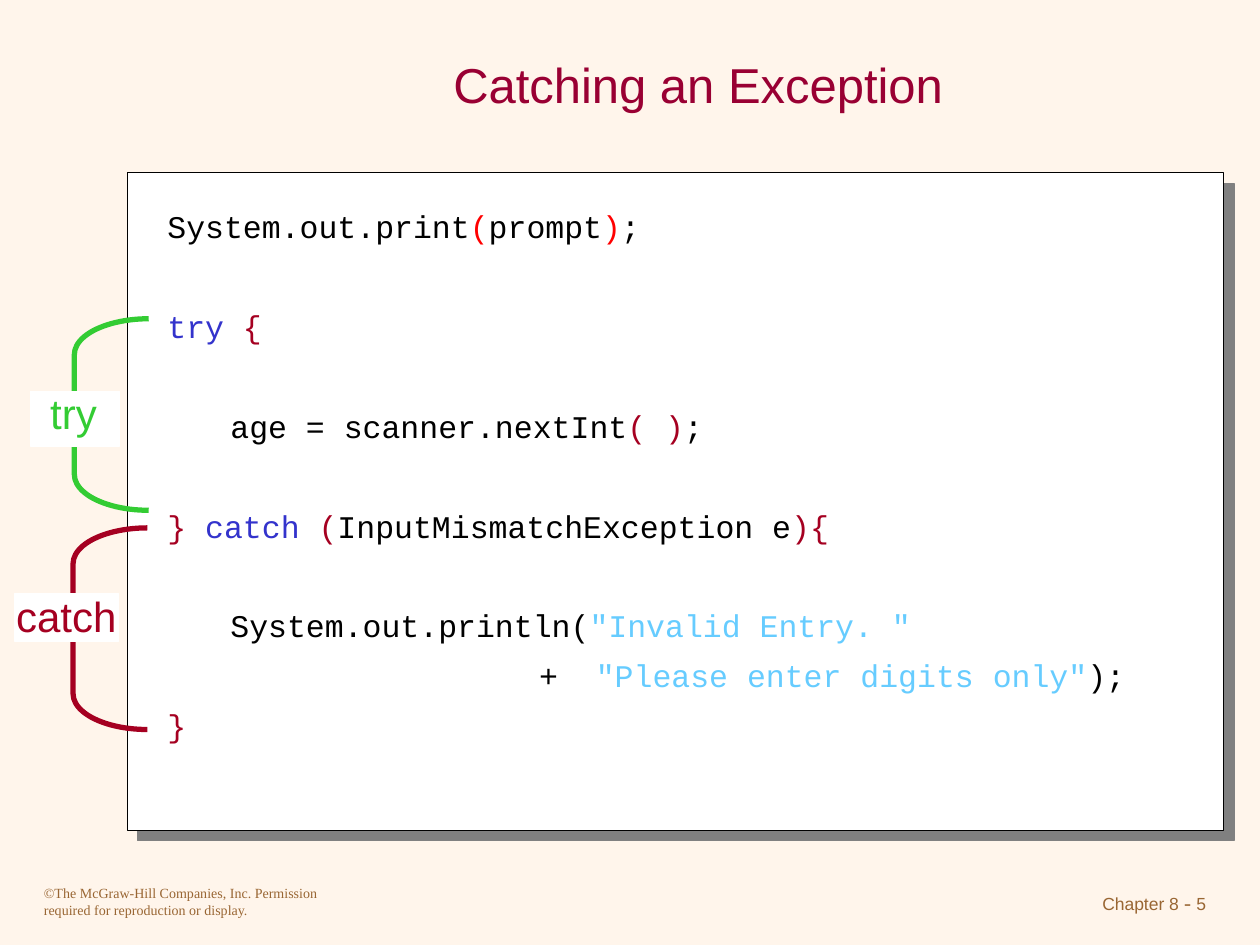
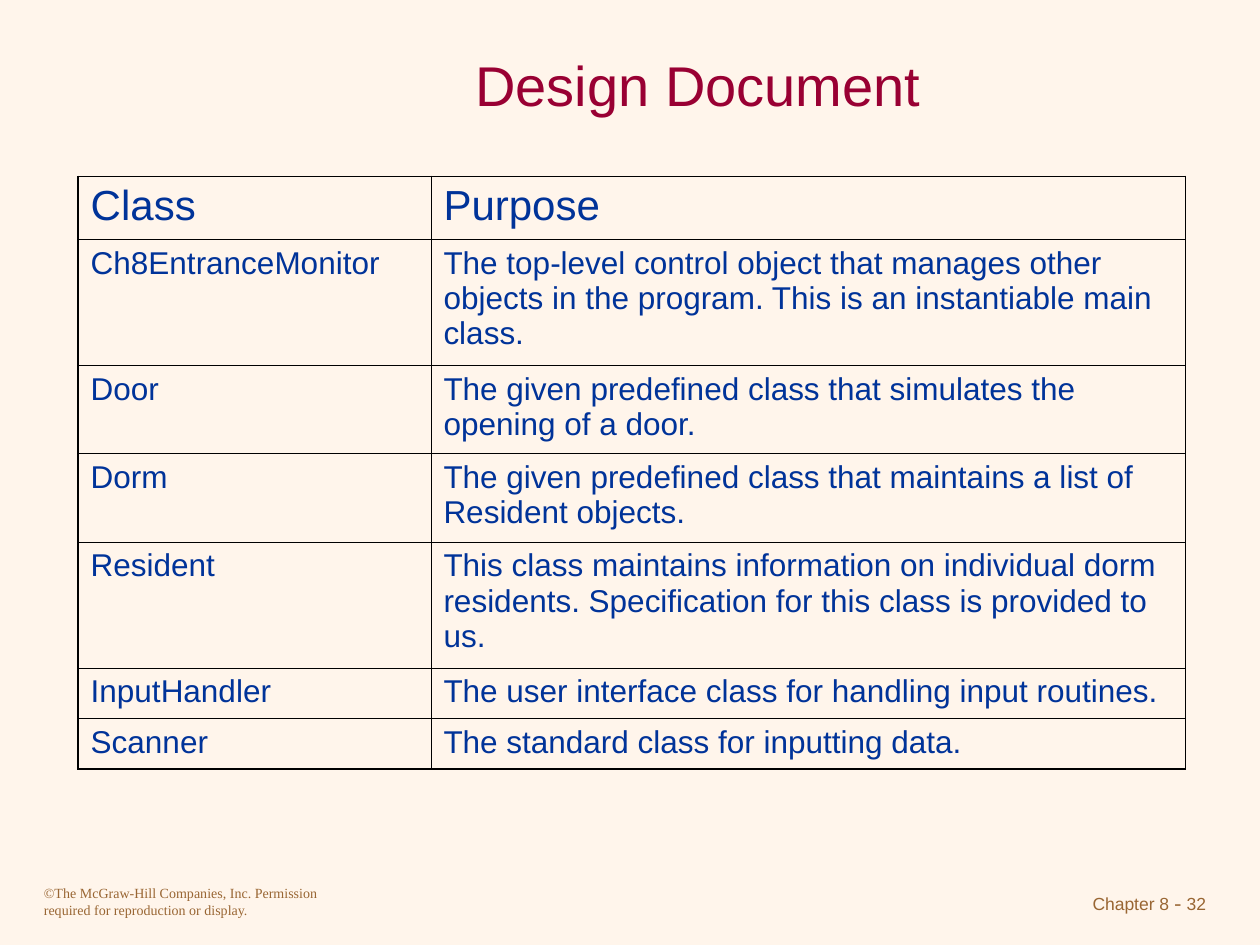
import pptx
import pptx.dml.color
import pptx.enum.shapes
import pptx.enum.text
import pptx.oxml
import pptx.oxml.ns
import pptx.util
from dataclasses import dataclass
from lxml import etree

Inches = pptx.util.Inches
Pt = pptx.util.Pt
Align = pptx.enum.text.PP_ALIGN
Shape = pptx.enum.shapes.MSO_SHAPE
qn = pptx.oxml.ns.qn


@dataclass(frozen=True)
class Theme:
    background: str = "FFF5EB"
    title: str = "990033"
    footer: str = "996633"
    table_text: str = "003399"
    black: str = "000000"
    white: str = "FFFFFF"
    shadow: str = "808080"
    plain: str = "000000"
    red: str = "FF0000"
    keyword: str = "3333CC"
    bracket: str = "A50021"
    string: str = "66CCFF"
    green: str = "33CC33"
    sans: str = "Arial"
    serif: str = "Times New Roman"
    mono: str = "Courier New"
    title_size: int = 28
    large_title_size: int = 32
    code_size: int = 18
    label_size: int = 24
    header_size: int = 24
    cell_size: int = 18
    copyright_size: int = 8
    number_size: int = 10
    dash_size: int = 12
    outer_border: float = 1.08
    inner_border: float = 0.45


THEME = Theme()
COPYRIGHT = ("©The McGraw-Hill Companies, Inc. Permission "
             "required for reproduction or display.")

# Each group of lines is set apart by a wider gap.
CODE_GROUPS = [
    [[("System.out.print", THEME.plain), ("(", THEME.red), ("prompt", THEME.plain),
      (")", THEME.red), (";", THEME.plain)]],
    [[("try ", THEME.keyword), ("{", THEME.bracket)]],
    [[("\tage = scanner.nextInt", THEME.plain), ("( )", THEME.bracket),
      (";", THEME.plain)]],
    [[("} ", THEME.bracket), ("catch ", THEME.keyword), ("(", THEME.bracket),
      ("InputMismatchException e", THEME.plain), ("){", THEME.bracket)]],
    [[("\tSystem.out.println(", THEME.plain), ('"Invalid Entry. "', THEME.string)],
     [("\t\t             +  ", THEME.plain),
      ('"Please enter digits only"', THEME.string), (");", THEME.plain)],
     [("}", THEME.bracket)]],
]
CODE_GAP = 11.2
CODE_GROUP_GAP = 39.8

CLASS_ROWS = [
    (0.5, "Class", "Purpose"),
    (1.0, "Ch8EntranceMonitor", "The top-level control object that manages other "
     "objects in the program. This is an instantiable main class."),
    (0.7, "Door", "The given predefined class that simulates the opening of a door."),
    (0.7, "Dorm", "The given predefined class that maintains a list of "
     "Resident objects."),
    (1.0, "Resident", "This class maintains information on individual dorm "
     "residents. Specification for this class is provided to us."),
    (0.4, "InputHandler", "The user interface class for handling input routines."),
    (0.4, "Scanner", "The standard class for inputting data."),
]


def rgb(color):
    return pptx.dml.color.RGBColor.from_string(color)


def set_font(font, name, size, color=None):
    font.name = name
    font.size = Pt(size)
    if color:
        font.color.rgb = rgb(color)


def add_box(page, place, wrap=True):
    box = page.shapes.add_textbox(*map(Inches, place))
    box.text_frame.word_wrap = wrap
    return box


def add_text(page, place, text, font, size, color, align=Align.LEFT, wrap=True):
    box = add_box(page, place, wrap)
    para = box.text_frame.paragraphs[0]
    para.text = text
    para.alignment = align
    set_font(para.font, font, size, color)
    return box


def add_rectangle(page, place, line):
    panel = page.shapes.add_shape(Shape.RECTANGLE, *map(Inches, place))
    panel.shadow.inherit = False
    panel.fill.solid()
    panel.fill.fore_color.rgb = rgb(THEME.white)
    panel.line.color.rgb = rgb(line)
    panel.line.width = Pt(0.75)
    return panel


def add_hard_shadow(panel):
    effects = panel._element.spPr.find(qn("a:effectLst"))
    shadow = etree.SubElement(effects, qn("a:outerShdw"), blurRad="0",
                              dist=str(Pt(8.5)), dir=str(45 * 60000),
                              algn="ctr", rotWithShape="0")
    etree.SubElement(shadow, qn("a:srgbClr"), val=THEME.shadow)


def add_page(deck, title, title_size, number):
    """Start a page with the shared background, title and footers."""
    page = deck.slides.add_slide(deck.slide_layouts[6])
    page.background.fill.solid()
    page.background.fill.fore_color.rgb = rgb(THEME.background)
    add_text(page, (0.25, 6.97, 2.5, 0.37), COPYRIGHT, THEME.serif,
             THEME.copyright_size, THEME.footer)
    add_page_number(page, number)
    heading = add_text(page, (1.5, 0.25, 8.08, 0.83), title, THEME.sans,
                       title_size, THEME.title, Align.CENTER)
    heading.text_frame.vertical_anchor = pptx.enum.text.MSO_ANCHOR.MIDDLE
    return page


def add_page_number(page, number):
    para = add_box(page, (7.5, 7.01, 2.17, 0.32)).text_frame.paragraphs[0]
    para.alignment = Align.RIGHT
    for text, font, size in [("Chapter 8", THEME.sans, THEME.number_size),
                             (" - ", THEME.serif, THEME.dash_size),
                             (str(number), THEME.sans, THEME.number_size)]:
        span = para.add_run()
        span.text = text
        set_font(span.font, font, size, THEME.footer)


def add_tab_stops(para, positions):
    stops = etree.SubElement(para._p.get_or_add_pPr(), qn("a:tabLst"))
    for position in positions:
        etree.SubElement(stops, qn("a:tab"), pos=str(Inches(position)), algn="l")


def add_code(page, place, groups):
    frame = add_box(page, place).text_frame
    para = None
    for group in groups:
        for index, line in enumerate(group):
            if para is None:
                para = frame.paragraphs[0]
            else:
                para = frame.add_paragraph()
                para.space_before = Pt(CODE_GAP if index else CODE_GROUP_GAP)
            para.line_spacing = 0.8
            add_tab_stops(para, (0.5, 1))
            set_font(para.font, THEME.mono, THEME.code_size)
            for text, color in line:
                span = para.add_run()
                span.text = text
                span.font.color.rgb = rgb(color)


def add_block_marker(page, text, color, bracket_place, plate_place, label_place):
    """Bracket a block of code and name it on a white plate."""
    bracket = page.shapes.add_shape(Shape.LEFT_BRACKET, *map(Inches, bracket_place))
    bracket.shadow.inherit = False
    bracket.adjustments[0] = 0.48
    bracket.fill.background()
    bracket.line.color.rgb = rgb(color)
    bracket.line.width = Pt(3)
    add_rectangle(page, plate_place, THEME.white)
    add_text(page, label_place, text, THEME.sans, THEME.label_size, color, wrap=False)


def set_borders(cell, widths):
    """Draw the left, right, top and bottom borders, in that order."""
    properties = cell._tc.get_or_add_tcPr()
    for index, (side, width) in enumerate(zip("LRTB", widths)):
        line = etree.Element(qn(f"a:ln{side}"), w=str(Pt(width)))
        fill = etree.SubElement(line, qn("a:solidFill"))
        etree.SubElement(fill, qn("a:srgbClr"), val=THEME.black)
        properties.insert(index, line)


def add_class_table(page, left, top, column_widths, rows):
    heights = [row[0] for row in rows]
    frame = page.shapes.add_table(len(rows), len(column_widths), Inches(left),
                                  Inches(top), Inches(sum(column_widths)),
                                  Inches(sum(heights)))
    table = frame.table
    table.horz_banding = False
    table.first_row = False
    for column, width in zip(table.columns, column_widths):
        column.width = Inches(width)
    last_row, last_column = len(rows) - 1, len(column_widths) - 1
    for r, (height, *texts) in enumerate(rows):
        table.rows[r].height = Inches(height)
        for c, text in enumerate(texts):
            cell = table.cell(r, c)
            cell.fill.background()
            para = cell.text_frame.paragraphs[0]
            para.text = text
            size = THEME.cell_size if r else THEME.header_size
            set_font(para.font, THEME.sans, size, THEME.table_text)
            on_edge = (c == 0, c == last_column, r == 0, r == last_row)
            set_borders(cell, [THEME.outer_border if edge else THEME.inner_border
                               for edge in on_edge])


def build_exception_page(deck):
    page = add_page(deck, "Catching an Exception", THEME.title_size, 5)
    add_hard_shadow(add_rectangle(page, (1.01, 1.37, 8.7, 5.22), THEME.black))
    add_code(page, (1.23, 1.65, 8.38, 4.31), CODE_GROUPS)
    add_block_marker(page, "try", THEME.green, (0.59, 2.53, 0.59, 1.52),
                     (0.24, 3.11, 0.71, 0.43), (0.3, 3.03, 0.57, 0.5))
    add_block_marker(page, "catch", THEME.bracket, (0.58, 4.19, 0.59, 1.6),
                     (0.12, 4.71, 0.82, 0.38), (0.03, 4.64, 1.0, 0.5))


def build_design_page(deck):
    page = add_page(deck, "Design Document", THEME.large_title_size, 32)
    add_class_table(page, 0.62, 1.4, (2.8, 5.99), CLASS_ROWS)


def main():
    deck = pptx.Presentation()
    deck.slide_width = Inches(10)
    deck.slide_height = Inches(7.5)
    build_exception_page(deck)
    build_design_page(deck)
    deck.save("out.pptx")


if __name__ == "__main__":
    main()
